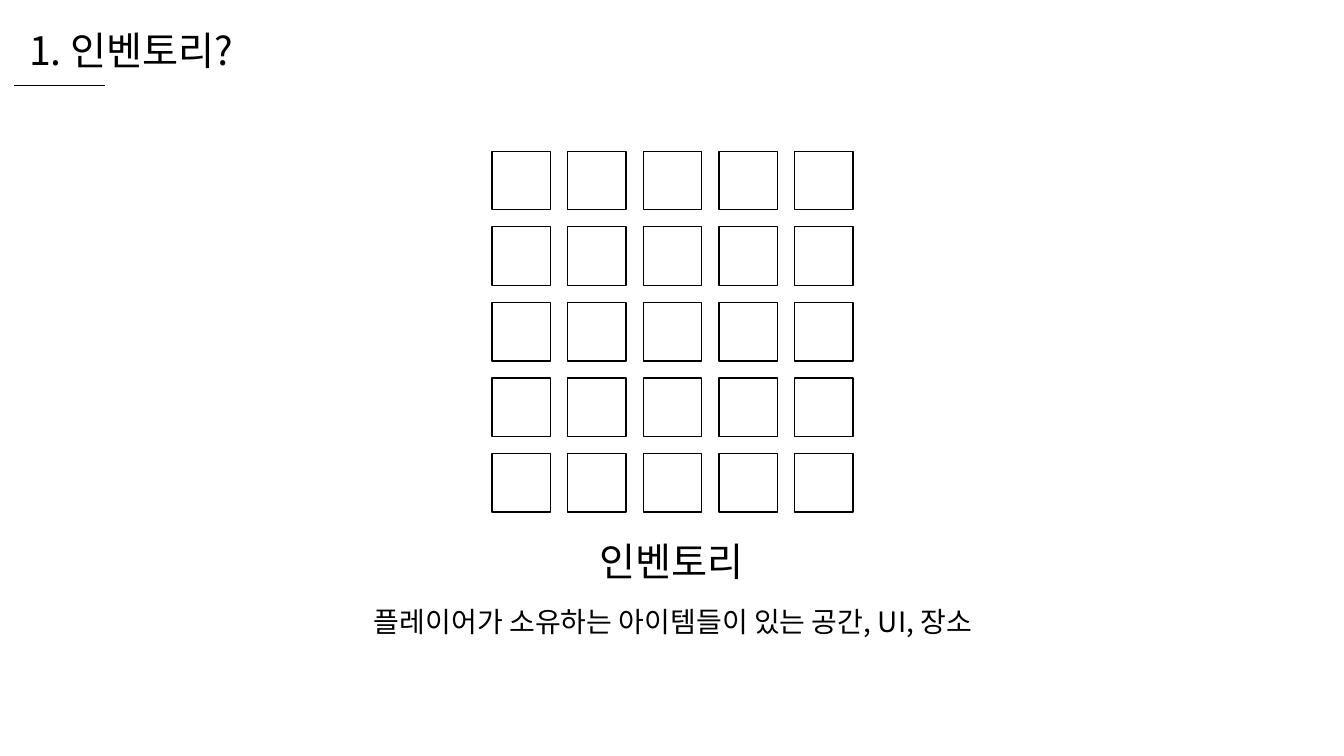
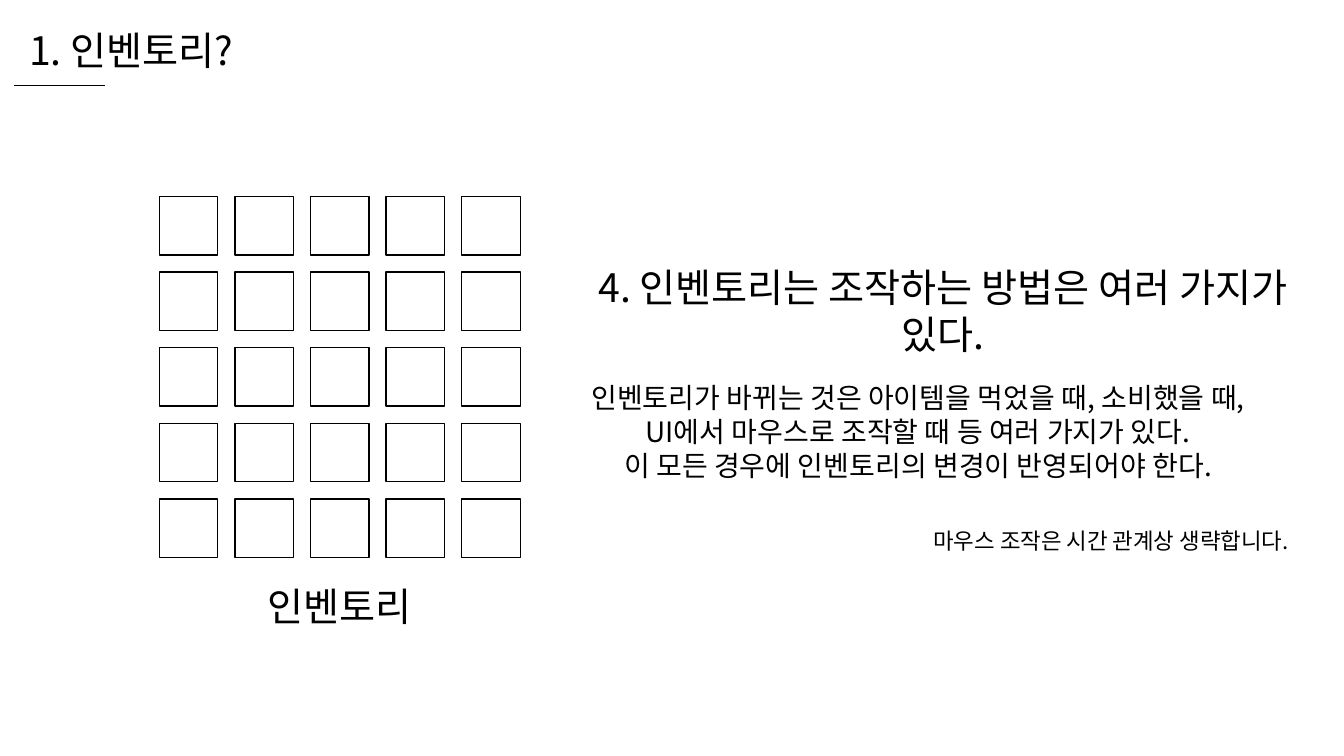
from lxml import etree
from pptx import Presentation
from pptx.dml.color import RGBColor
from pptx.enum import shapes, text
from pptx.oxml import ns
from pptx.util import Inches, Pt

FONT = "Noto Sans CJK KR"
BLACK, WHITE = "000000", "FFFFFF"
CELL, STEP, COUNT = 0.58, 0.75, 5


def color(value):
    return RGBColor.from_string(value)


def write(box, lines, size=20, align="CENTER", wrap=True):
    frame = box.text_frame
    frame.text = "\n".join(lines)
    frame.word_wrap = wrap
    frame.auto_size = text.MSO_AUTO_SIZE.NONE
    frame.vertical_anchor = text.MSO_ANCHOR.TOP
    for para in frame.paragraphs:
        para.alignment = getattr(text.PP_ALIGN, align)
        for span in para.runs:
            span.font.name = FONT
            span.font.size = Pt(size)
            span.font.color.rgb = color(BLACK)
            east_asian = etree.SubElement(span.font._element, ns.qn("a:ea"))
            east_asian.set("typeface", FONT)


deck = Presentation()
deck.slide_width, deck.slide_height = Inches(13.33), Inches(7.5)
layout = deck.slide_layouts.get_by_name("Title Only")

pages = [
    {
        "grid": (4.88, 1.5),
        "texts": [
            ((3.59, 5.95, 6.17, 0.78), ["플레이어가 소유하는 아이템들이 있는 공간, UI, 장소"], {}),
        ],
    },
    {
        "grid": (1.58, 1.95),
        "texts": [
            ((5.6, 2.56, 7.5, 1.04), ["4. 인벤토리는 조작하는 방법은 여러 가지가 있다."], {"size": 28}),
            (
                (5.76, 3.73, 6.69, 1.45),
                [
                    "인벤토리가 바뀌는 것은 아이템을 먹었을 때, 소비했을 때,",
                    "UI에서 마우스로 조작할 때 등 여러 가지가 있다.",
                    "이 모든 경우에 인벤토리의 변경이 반영되어야 한다.",
                ],
                {},
            ),
            (
                (9.1, 5.18, 3.78, 0.37),
                ["마우스 조작은 시간 관계상 생략합니다."],
                {"size": 16, "align": "RIGHT", "wrap": False},
            ),
        ],
    },
]

for content in pages:
    page = deck.slides.add_slide(layout)
    title = page.shapes.title
    title.left, title.top = Inches(0.19), Inches(0.21)
    title.width, title.height = Inches(2.6), Inches(0.57)
    write(title, ["1. 인벤토리?"], size=28, align="LEFT")

    rule = page.shapes.add_connector(
        shapes.MSO_CONNECTOR.STRAIGHT, Inches(0.14), Inches(0.85), Inches(1.04), Inches(0.85)
    )
    rule.line.color.rgb = color(BLACK)
    rule.line.width = Pt(0.5)
    etree.SubElement(rule._element.spPr, ns.qn("a:effectLst"))

    left, top = content["grid"]
    inventory = page.shapes.add_group_shape()
    for row in range(COUNT):
        for column in range(COUNT):
            slot = inventory.shapes.add_shape(
                shapes.MSO_SHAPE.RECTANGLE,
                Inches(left + column * STEP),
                Inches(top + row * STEP),
                Inches(CELL),
                Inches(CELL),
            )
            slot.shadow.inherit = False
            slot.fill.solid()
            slot.fill.fore_color.rgb = color(WHITE)
            slot.line.color.rgb = color(BLACK)
            slot.line.width = Pt(1)

    label = ((left + 0.97, top + 3.78, 1.63, 0.57), ["인벤토리"], {"size": 28, "wrap": False})
    for place, lines, style in [label] + content["texts"]:
        box = page.shapes.add_textbox(*[Inches(length) for length in place])
        write(box, lines, **style)

deck.save("out.pptx")
